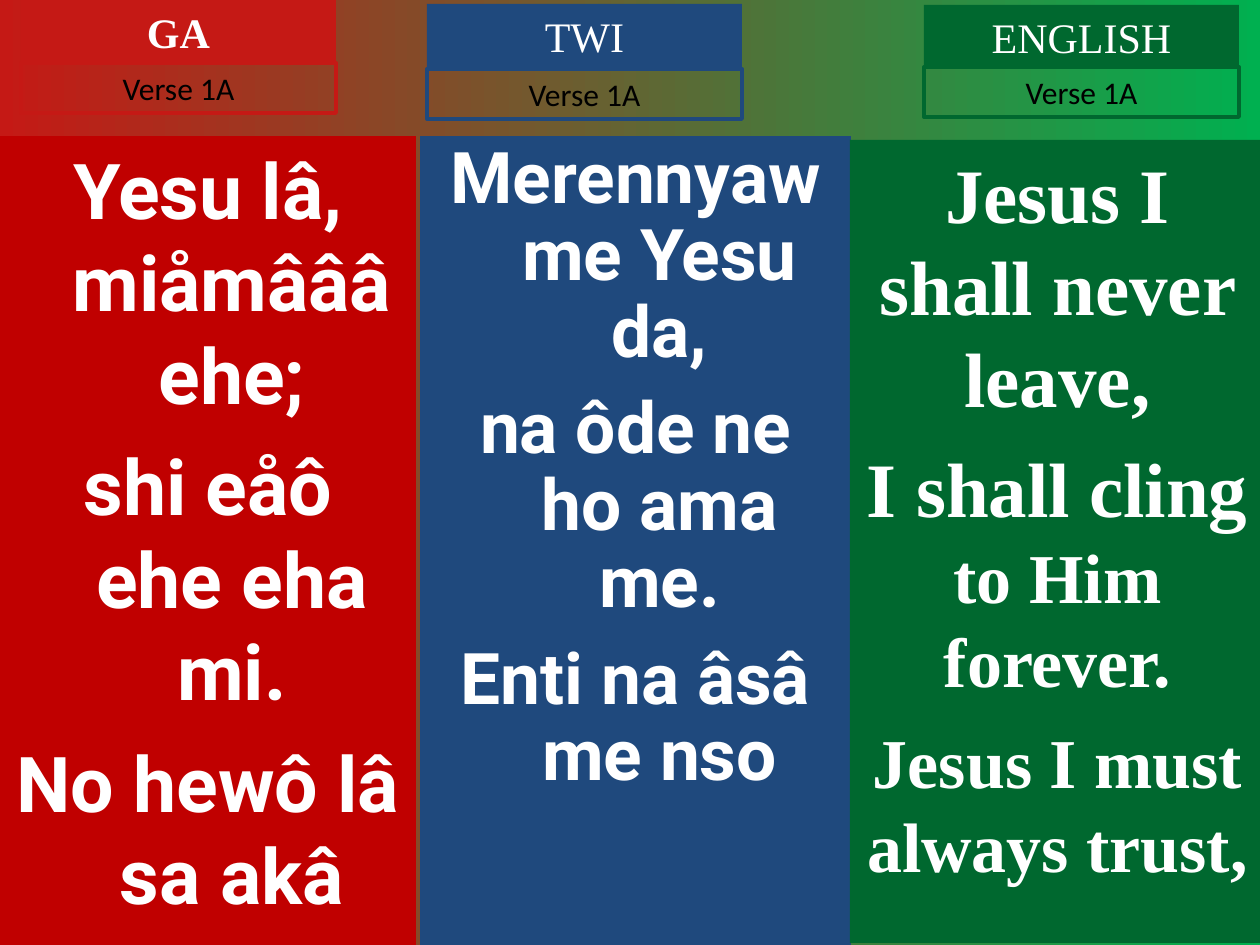
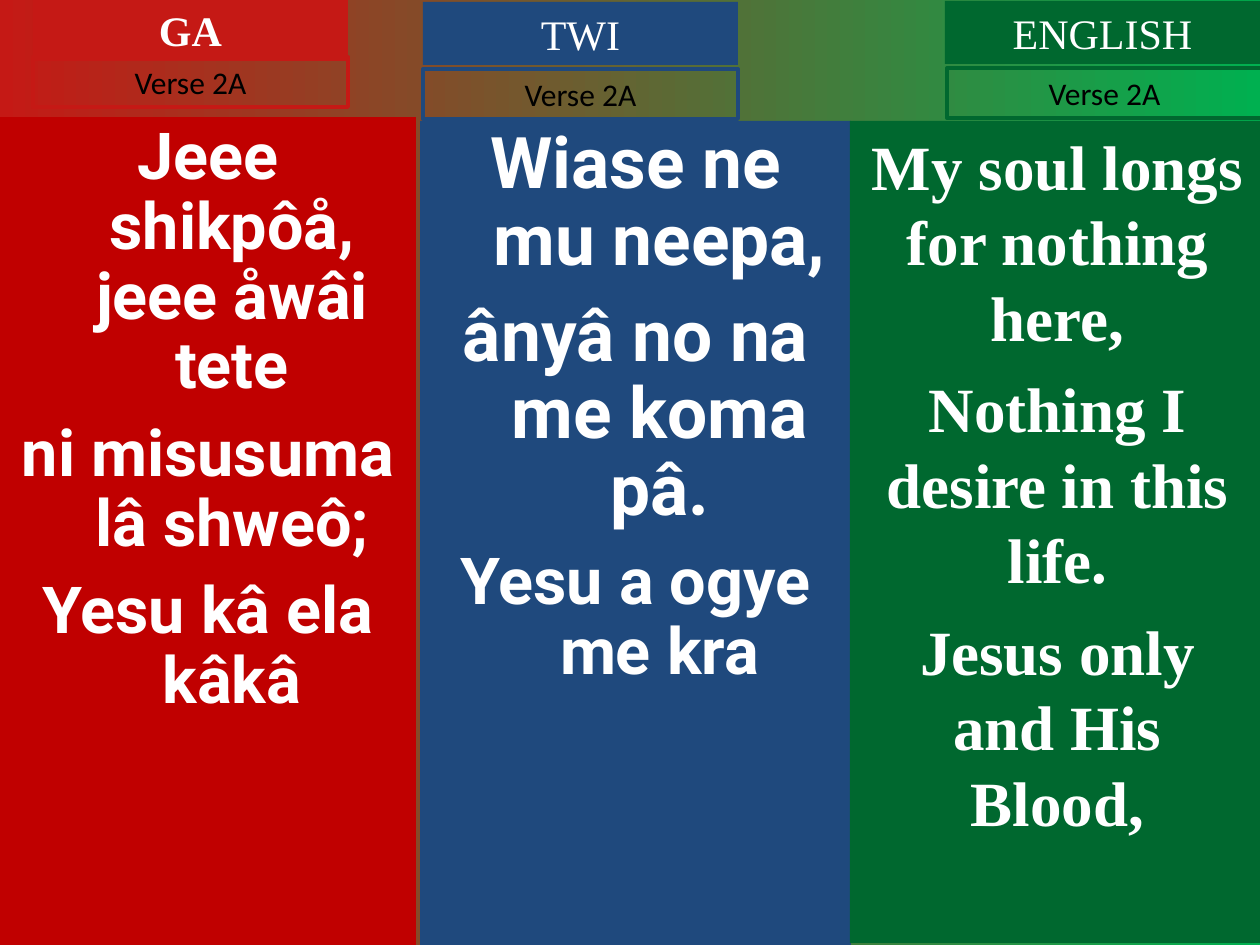
import pptx
import pptx.dml.color
import pptx.enum.shapes
import pptx.enum.text
import pptx.oxml
import pptx.util

COLOURS = {"GA": "C51915", "TWI": "1F497D", "ENGLISH": "00682F",
           "GA column": "C00000", "text": "FFFFFF", "verse": "000000", "background end": "00B050"}
SERIF, SANS, LABEL_FONT = "Times New Roman", "Roboto", "Calibri"
PX = 914400 / 126
SLIDE_SIZE = 1260, 945
HEADING_SIZE = 315, 63
LABEL_SIZE = 315, 50
HANGING = 48
COLUMNS = {"GA": (0, 416, SANS, HANGING), "TWI": (420, 431, SANS, HANGING),
           "ENGLISH": (850, 415, SERIF, 0)}

VERSES = [
    {"label": "Verse 1A", "languages": {
        "GA": {"heading": (21, 0), "label": (21, 63), "column": (136, 945), "spacing": 1.0, "lines": [
            (0, [("Yesu lâ, miåmâââ ehe;", 44)]),
            (11, [("shi eåô ehe eha mi.", 44)]),
            (11, [("No hewô lâ sa akâ", 44)])]},
        "TWI": {"heading": (427, 4), "label": (427, 69), "column": (136, 945), "spacing": 0.9, "lines": [
            (0, [("Merennyaw me Yesu da,", 40.7)]),
            (11, [("na ôde ne ho ama me.", 40.7)]),
            (11, [("Enti na âsâ me nso", 40.7)])]},
        "ENGLISH": {"heading": (924, 5), "label": (924, 67), "column": (140, 943), "spacing": 1.0, "lines": [
            (0, [("Jesus I shall never leave,", 44)]),
            (10, [("I shall cling ", 44), ("to Him forever.", 40)]),
            (10, [("Jesus I must always trust,", 40)])]}}},
    {"label": "Verse 2A", "languages": {
        "GA": {"heading": (33, -2), "label": (33, 57), "column": (117, 945), "spacing": 0.9, "lines": [
            (0, [("Jeee shikpôå, jeee åwâi tete", 37)]),
            (10, [("ni misusuma lâ shweô;", 37)]),
            (10, [("Yesu kâ ela kâkâ", 37)])]},
        "TWI": {"heading": (423, 2), "label": (423, 69), "column": (121, 945), "spacing": 0.9, "lines": [
            (0, [("Wiase ne mu neepa,", 40.7)]),
            (11, [("ânyâ no na me koma pâ.", 40.7)]),
            (10, [("Yesu a ogye me kra", 37)])]},
        "ENGLISH": {"heading": (945, 1), "label": (947, 68), "column": (121, 943), "spacing": 1.0, "lines": [
            (0, [("My soul longs for nothing here,", 36)]),
            (9, [("Nothing I desire in this life.", 36)]),
            (9, [("Jesus only and His Blood,", 36)])]}}},
]


def px(length):
    return pptx.util.Emu(round(length * PX))


def colour(name):
    return pptx.dml.color.RGBColor.from_string(COLOURS[name])


def place(shape, left, top, width, height):
    shape.left, shape.top, shape.width, shape.height = map(px, (left, top, width, height))


def add_rectangle(slide):
    shape = slide.shapes.add_shape(pptx.enum.shapes.MSO_SHAPE.RECTANGLE, 0, 0, 0, 0)
    shape.shadow.inherit = False
    return shape


def paint(shape, fill=None, line=None):
    if fill:
        shape.fill.solid()
        shape.fill.fore_color.rgb = colour(fill)
    else:
        shape.fill.background()
    if line:
        shape.line.color.rgb = colour(line)
        shape.line.width = pptx.util.Pt(2.25)
    else:
        shape.line.fill.background()


def write(shape, lines, font, text_colour, bold, spacing=1.0, hanging=0):
    frame = shape.text_frame
    frame.word_wrap = True
    frame.auto_size = pptx.enum.text.MSO_AUTO_SIZE.NONE
    frame.vertical_anchor = pptx.enum.text.MSO_ANCHOR.TOP
    for index, (space_before, runs) in enumerate(lines):
        paragraph = frame.add_paragraph() if index else frame.paragraphs[0]
        properties = paragraph._p.get_or_add_pPr()
        properties.set("marL", str(px(hanging)))
        properties.set("indent", str(-px(hanging)))
        properties.append(pptx.oxml.parse_xml(
            '<a:buNone xmlns:a="http://schemas.openxmlformats.org/drawingml/2006/main"/>'))
        paragraph.alignment = pptx.enum.text.PP_ALIGN.CENTER
        paragraph.line_spacing = spacing
        paragraph.space_before = pptx.util.Pt(space_before)
        for text, size in runs:
            run = paragraph.add_run()
            run.text = text
            run.font.name = font
            run.font.size = pptx.util.Pt(size)
            run.font.bold = bold
            run.font.color.rgb = colour(text_colour)


def add_language(slide, language, part, verse_label, heading, column):
    left, width, font, hanging = COLUMNS[language]
    top, bottom = part["column"]
    place(column, left, top, width, bottom - top)
    paint(column, fill="GA column" if language == "GA" else language)
    write(column, part["lines"], font, "text", True, part["spacing"], hanging)

    place(heading, *part["heading"], *HEADING_SIZE)
    paint(heading, fill=language)
    write(heading, [(0, [(language, 24)])], SERIF, "text", language == "GA")

    label = add_rectangle(slide)
    place(label, *part["label"], *LABEL_SIZE)
    paint(label, line=language)
    write(label, [(0, [(verse_label, 18)])], LABEL_FONT, "verse", False)


def set_background(master):
    fill = master.background.fill
    fill.gradient()
    fill.gradient_angle = 0
    for stop, name, position in zip(fill.gradient_stops, ("GA", "background end"), (0, 1)):
        stop.color.rgb = colour(name)
        stop.position = position


def main():
    """Build one slide per verse, with a column for each language."""
    presentation = pptx.Presentation()
    presentation.slide_width, presentation.slide_height = map(px, SLIDE_SIZE)
    set_background(presentation.slide_master)
    two_content = presentation.slide_layouts.get_by_name("Two Content")
    for verse in VERSES:
        slide = presentation.slides.add_slide(two_content)
        headings = {"GA": slide.shapes.title}
        columns = {"GA": slide.placeholders[1], "TWI": slide.placeholders[2]}
        for language, part in verse["languages"].items():
            column = columns.get(language) or add_rectangle(slide)
            heading = headings.get(language) or add_rectangle(slide)
            add_language(slide, language, part, verse["label"], heading, column)
    presentation.save("out.pptx")


if __name__ == "__main__":
    main()
